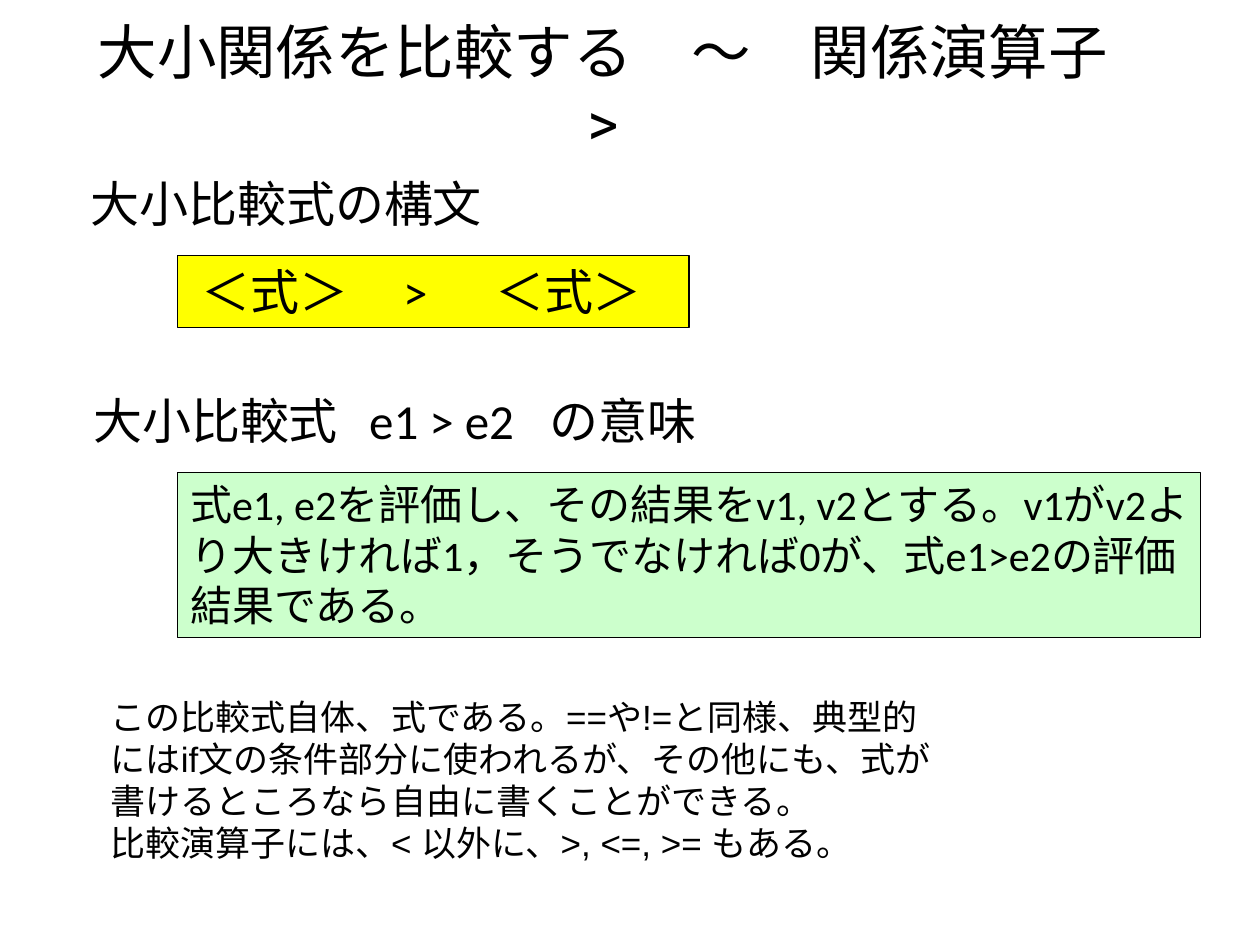
"""Build a slide explaining the greater-than relational operator."""
from dataclasses import dataclass
from typing import Optional

from lxml import etree
from pptx import Presentation
from pptx import util as u
from pptx.dml.color import RGBColor
from pptx.enum import shapes, text
from pptx.oxml.ns import qn


@dataclass(frozen=True)
class Block:
    left: float
    top: float
    width: float
    height: float
    paragraphs: tuple[str, ...]
    size: int
    font: str = "Calibri"
    fill: Optional[str] = None
    inset: float = 0.1
    tabs: tuple[float, ...] = ()
    is_title: bool = False


BLOCKS = (
    Block(0.62, 0.31, 8.33, 0.75, ("大小関係を比較する　～　関係演算子 >",), 34, "Roboto", is_title=True),
    Block(0.78, 5.47, 6.8, 1.45, (
        "この比較式自体、式である。==や!=と同様、典型的にはif文の条件部分に使われるが、その他にも、式が書けるところなら自由に書くことができる。",
        "比較演算子には、< 以外に、>, <=, >= もある。",
    ), 20, "Arial"),
    Block(1.41, 2.03, 4.06, 0.57, ("＜式＞\t>\t＜式＞",), 28, fill="FFFF00", inset=0.19, tabs=(1.6, 2.33)),
    Block(0.62, 1.33, 3.34, 0.57, ("大小比較式の構文",), 28),
    Block(1.41, 3.75, 8.12, 1.31, (
        "式e1, e2を評価し、その結果をv1, v2とする。v1がv2より大きければ1，そうでなければ0が、式e1>e2の評価結果である。",
    ), 24, fill="CCFFCC"),
    Block(0.55, 3.05, 5.21, 0.57, ("大小比較式\te1 > e2\tの意味",), 28, inset=0.19, tabs=(2.19, 3.62)),
)


def color(value: str) -> RGBColor:
    return RGBColor.from_string(value)


def add_tabs(para, stops: tuple[float, ...]) -> None:
    tab_list = etree.SubElement(para._p.get_or_add_pPr(), qn("a:tabLst"))
    for stop in stops:
        etree.SubElement(tab_list, qn("a:tab"), pos=str(u.Inches(stop)), algn="l")


def add_block(page, block: Block) -> None:
    place = [u.Inches(n) for n in (block.left, block.top, block.width, block.height)]
    if block.fill:
        box = page.shapes.add_shape(shapes.MSO_SHAPE.RECTANGLE, *place)
        box.shadow.inherit = False
        box.fill.solid()
        box.fill.fore_color.rgb = color(block.fill)
        box.line.color.rgb = color("000000")
        box.line.width = u.Pt(0.75)
    else:
        box = page.shapes.add_textbox(*place)
    frame = box.text_frame
    frame.word_wrap = True
    frame.margin_left = u.Inches(block.inset)
    frame.vertical_anchor = text.MSO_ANCHOR.MIDDLE if block.is_title else text.MSO_ANCHOR.TOP
    for index, words in enumerate(block.paragraphs):
        para = frame.add_paragraph() if index else frame.paragraphs[0]
        para.alignment = text.PP_ALIGN.CENTER if block.is_title else text.PP_ALIGN.LEFT
        if block.tabs:
            add_tabs(para, block.tabs)
        span = para.add_run()
        span.text = words
        span.font.size = u.Pt(block.size)
        span.font.name = block.font
        span.font.color.rgb = color("000000")


def main() -> None:
    deck = Presentation()
    deck.slide_width, deck.slide_height = u.Inches(10), u.Inches(7.5)
    page = deck.slides.add_slide(deck.slide_layouts[6])
    for block in BLOCKS:
        add_block(page, block)
    deck.save("out.pptx")


if __name__ == "__main__":
    main()
